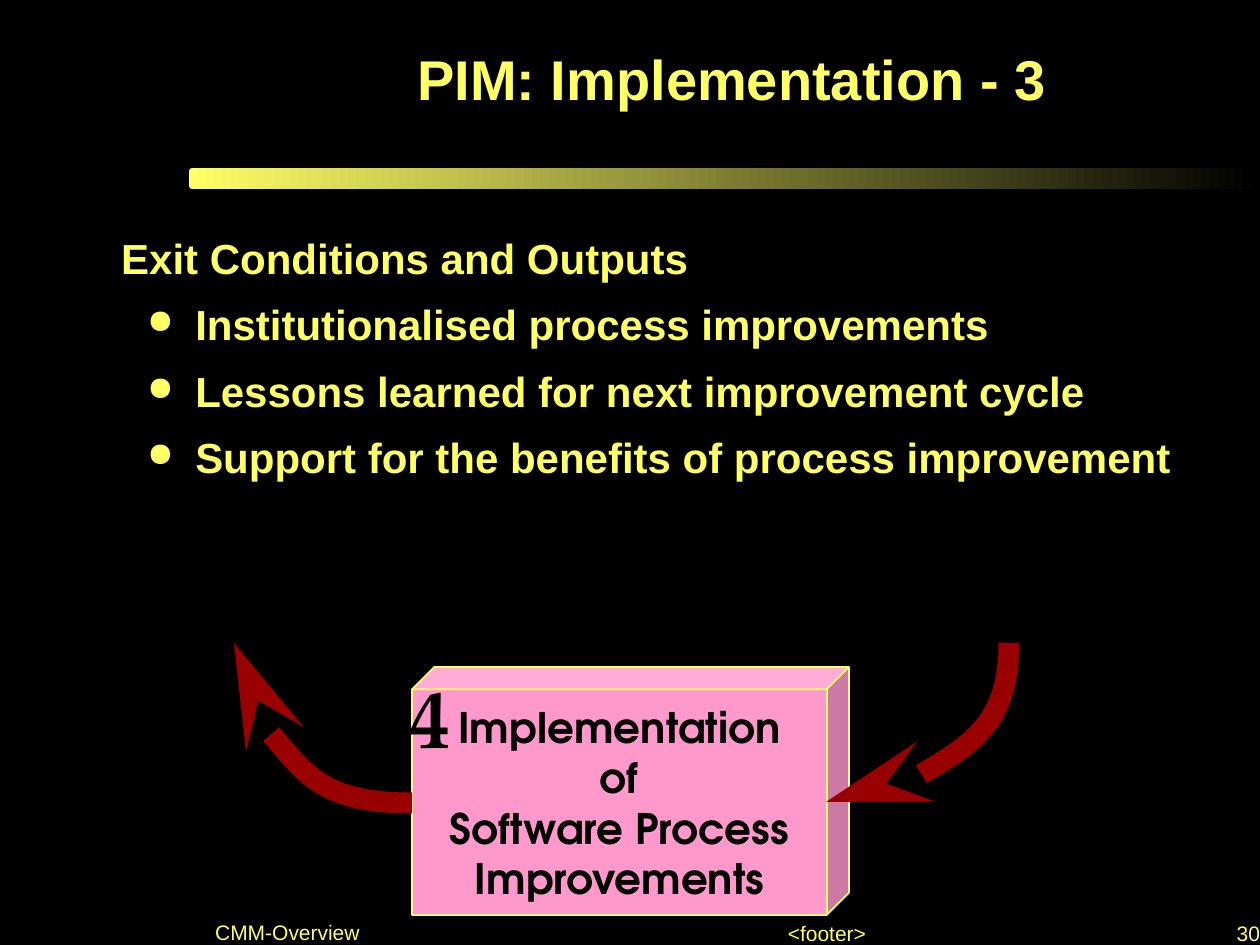
from lxml import etree
from pptx import Presentation
from pptx.dml.color import RGBColor
from pptx.enum.shapes import MSO_CONNECTOR, MSO_SHAPE
from pptx.enum.text import MSO_ANCHOR, MSO_AUTO_SIZE, PP_ALIGN
from pptx.oxml.ns import qn
from pptx.util import Emu, Pt

LEFT, CENTER, RIGHT = PP_ALIGN.LEFT, PP_ALIGN.CENTER, PP_ALIGN.RIGHT
MIDDLE, BOTTOM = MSO_ANCHOR.MIDDLE, MSO_ANCHOR.BOTTOM
FIT_SHAPE = MSO_AUTO_SIZE.SHAPE_TO_FIT_TEXT
CURVE = MSO_CONNECTOR.CURVE
CUBE, ROUNDED = MSO_SHAPE.CUBE, MSO_SHAPE.ROUNDED_RECTANGLE

PX_PER_INCH = 126
COLORS = {"black": "000000", "yellow": "FFFF66", "pink": "FF99CC", "red": "990000"}
BODY_INSETS = (13, 6)


def px(length):
    return Emu(round(length * 914400 / PX_PER_INCH))


def color(name):
    return RGBColor.from_string(COLORS[name])


def set_frame(frame, anchor, insets=(0, 0), wrap=True, block_centered=False):
    frame.word_wrap = wrap
    frame.vertical_anchor = anchor
    frame.margin_left = frame.margin_right = px(insets[0])
    frame.margin_top = frame.margin_bottom = px(insets[1])
    if block_centered:
        frame._txBody.bodyPr.set("anchorCtr", "1")


def add_bullet(para):
    properties = para._p.get_or_add_pPr()
    properties.set("marL", str(px(74)))
    properties.set("indent", str(-px(48)))
    bullet_color = etree.SubElement(properties, qn("a:buClr"))
    etree.SubElement(bullet_color, qn("a:srgbClr"), val=COLORS["yellow"])
    etree.SubElement(properties, qn("a:buSzPct"), val="80000")
    etree.SubElement(properties, qn("a:buFont"), typeface="OpenSymbol")
    etree.SubElement(properties, qn("a:buChar"), char="●")


def write_lines(frame, lines, size, hue="yellow", font="Arial", bold=False,
                align=LEFT, spacing=None, before=0, bulleted=False):
    for index, line in enumerate(lines):
        para = frame.paragraphs[0] if index == 0 else frame.add_paragraph()
        para.text = line
        para.alignment = align
        if spacing:
            para.line_spacing = spacing
        if index and before:
            para.space_before = Pt(before)
        if index and bulleted:
            add_bullet(para)
        para.font.size = Pt(size)
        para.font.name = font
        para.font.bold = bold
        para.font.color.rgb = color(hue)


def add_text(page, bounds, lines, size, anchor=MIDDLE, insets=(0, 0), wrap=True,
             block_centered=False, **style):
    box = page.shapes.add_textbox(*map(px, bounds))
    set_frame(box.text_frame, anchor, insets, wrap, block_centered)
    if not wrap:
        box.text_frame.auto_size = FIT_SHAPE
    write_lines(box.text_frame, lines, size, **style)


def add_gradient_bar(page, bounds):
    bar = page.shapes.add_shape(ROUNDED, *map(px, bounds))
    bar.shadow.inherit = False
    bar.line.fill.background()
    bar.fill.gradient()
    bar.fill.gradient_angle = 0
    for stop, hue in zip(bar.fill.gradient_stops, ("yellow", "black")):
        stop.color.rgb = color(hue)


def add_cube(page, bounds, lines):
    cube = page.shapes.add_shape(CUBE, *map(px, bounds))
    cube.shadow.inherit = False
    cube.adjustments[0] = 0.09
    cube.fill.solid()
    cube.fill.fore_color.rgb = color("pink")
    cube.line.color.rgb = color("yellow")
    cube.line.width = Pt(1)
    set_frame(cube.text_frame, MIDDLE, BODY_INSETS, wrap=False)
    write_lines(cube.text_frame, lines, 24, hue="black", font="TeX Gyre Adventor",
                bold=True, align=CENTER)


def add_curved_arrow(page, bounds, degrees):
    left, top, width, height = bounds
    arrow = page.shapes.add_connector(
        CURVE, px(left), px(top), px(left + width), px(top + height))
    arrow.line.color.rgb = color("red")
    arrow.line.width = Pt(12)
    properties = arrow._element.spPr
    properties.find(qn("a:prstGeom")).set("prst", "curvedConnector2")
    properties.find(qn("a:xfrm")).set("rot", str(degrees * 60000))
    etree.SubElement(properties.find(qn("a:ln")), qn("a:tailEnd"),
                     type="stealth", w="med", len="lg")
    etree.SubElement(properties, qn("a:effectLst"))


def main():
    deck = Presentation()
    deck.slide_width, deck.slide_height = px(1260), px(945)
    page = deck.slides.add_slide(deck.slide_layouts[6])
    page.background.fill.solid()
    page.background.fill.fore_color.rgb = color("black")

    add_gradient_bar(page, (189, 168, 1071, 21))
    add_text(page, (777, 921, 100, 25), ["<footer>"], 12, anchor=BOTTOM,
             align=CENTER)
    add_text(page, (204, 0, 1056, 168), ["PIM: Implementation - 3"], 32,
             block_centered=True, bold=True, align=RIGHT, spacing=0.8)
    add_text(page, (32, 189, 1228, 346), [
        "Exit Conditions and Outputs",
        "Institutionalised process improvements",
        "Lessons learned for next improvement cycle",
        "Support for the benefits of process improvement",
    ], 24, insets=BODY_INSETS, block_centered=True, bold=True, spacing=0.8,
        before=15, bulleted=True)

    add_cube(page, (412, 667, 437, 248),
             ["Implementation", "of", "Software Process", "Improvements"])
    add_text(page, (410, 667, 47, 98), ["4"], 47, wrap=False, hue="black",
             font="TeX Gyre Pagella", bold=True)
    add_curved_arrow(page, (838, 631, 159, 183), 90)
    add_curved_arrow(page, (234, 643, 178, 160), 180)

    add_text(page, (156, 905, 263, 40), ["CMM-Overview"], 12, anchor=BOTTOM,
             block_centered=True, spacing=0.8)
    add_text(page, (1235, 926, 25, 20), ["30"], 12, anchor=BOTTOM, align=RIGHT,
             spacing=0.8)
    deck.save("out.pptx")


if __name__ == "__main__":
    main()
